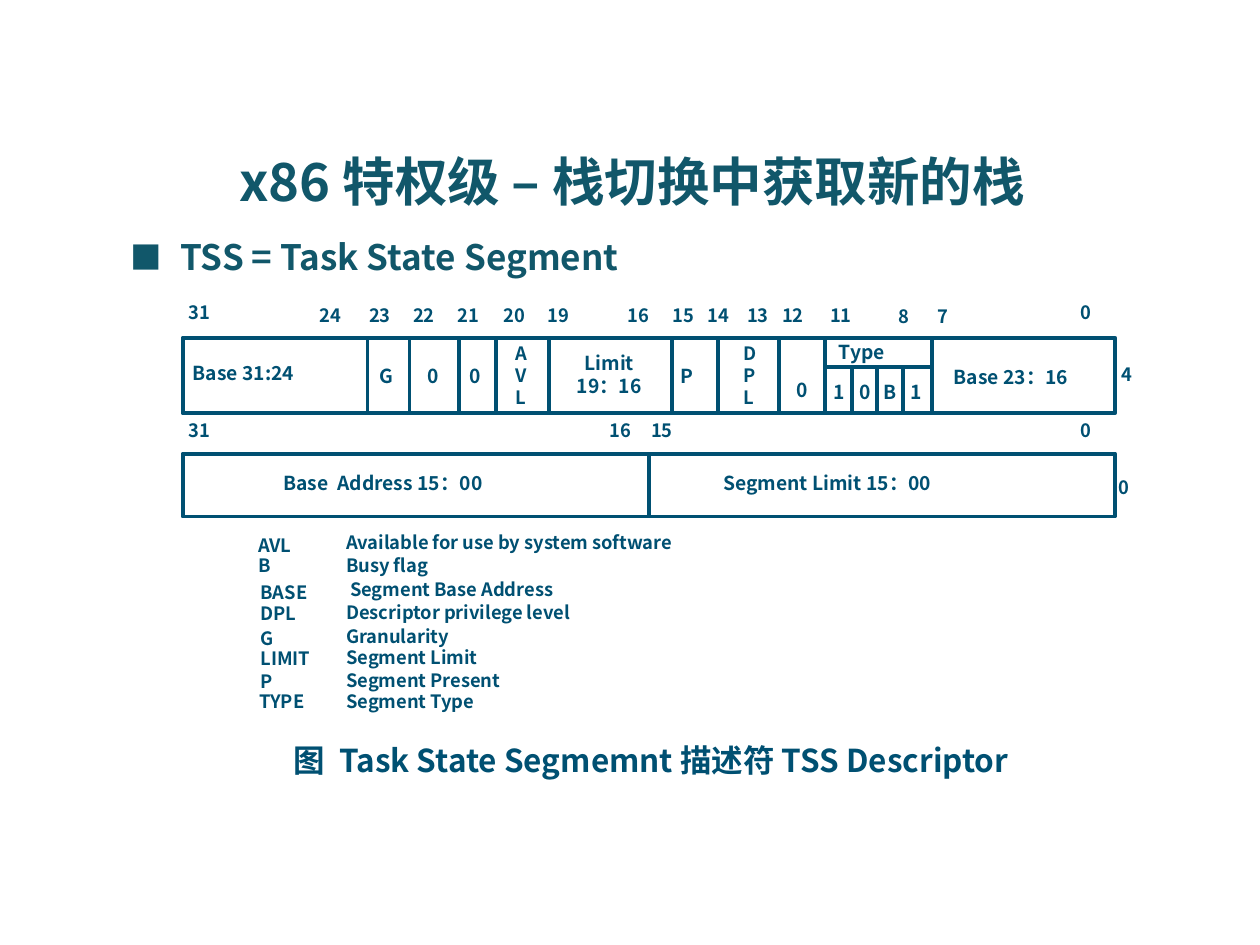
from lxml.etree import SubElement
from pptx import Presentation
from pptx.dml.color import RGBColor
from pptx.enum.shapes import MSO_CONNECTOR as Connector, MSO_SHAPE as Preset
from pptx.enum.text import MSO_AUTO_SIZE as AutoSize, PP_ALIGN as Align
from pptx.oxml.ns import qn
from pptx.util import Pt

TEAL = "11576A"
BLUE = "005072"
FONT = "Noto Sans CJK SC"
SYMBOL_FONT = "Noto Sans CJK JP"
LINE_WIDTH = 2.25

TOP_SCALE = [
    ("31", 100.8, 168.5), ("24", 175.7, 170), ("23", 203.8, 170),
    ("22", 229, 170), ("21", 254.2, 170), ("20", 280.8, 170),
    ("19", 306, 170), ("16", 351.4, 170), ("15", 377.3, 170),
    ("14", 397.4, 170), ("13", 419.8, 170), ("12", 439.9, 170),
    ("11", 467.3, 170), ("8", 506.2, 170.6), ("7", 528.5, 170.6),
    ("0", 610.6, 168.5),
]
LOWER_SCALE = [("31", 100.8), ("16", 341.3), ("15", 365), ("0", 610.6)]
BYTE_OFFSETS = [("4", 633.6, 203.8), ("0", 632.2, 268.6)]

FIELDS = [
    ("Base 31:24", 103, 203, 115.2),
    ("G", 209.5, 204.5, 35.3),
    ("0", 237, 204.5, 30),
    ("0", 261.4, 204.5, 31),
    ("P", 381.6, 204.5, 25.9),
    ("Type", 472.3, 190.8, 122.4),
    ("0", 447.8, 212.4, 35.3),
    ("Base 23：16", 537.8, 205.2, 131),
    ("Base  Address 15：00", 154.8, 265.7, 323.3),
    ("Segment Limit 15：00", 406.1, 265.7, 340.6),
]
TYPE_BITS = [("1", 469.4), ("0", 483.8), ("B", 497.5), ("1", 513.4)]

DIVIDERS = [
    (210, 193, 236.2), (234, 193, 236.2), (262.1, 193, 236.2),
    (283.7, 193, 236.2), (313.9, 194.4, 236.9), (383.8, 192.2, 235.4),
    (410.4, 192.2, 235.4), (445, 192.2, 235.4), (471.6, 192.2, 235.4),
    (486.7, 208.8, 235.4), (501.1, 211, 235.4), (516.2, 210.2, 235.4),
    (532.8, 194.4, 236.9), (370.8, 260, 295.2),
]

LEGEND = [
    ("AVL", 140.4, 301.7, 65.5, "Available for use by system software", 190.8, 300.2, 306.7),
    ("B", 140.4, 313.2, 29.5, "Busy flag", 190.8, 313.2, 306.7),
    ("BASE", 141.8, 328.3, 66.2, "Segment Base Address", 193, 326.9, 490.3),
    ("DPL", 141.8, 340.6, 82, "Descriptor privilege level", 190.8, 339.8, 203),
    ("G", 141.8, 355, 82, "Granularity", 190.8, 353.5, 193.7),
    ("LIMIT", 141.8, 366.5, 82, "Segment Limit", 190.8, 365.8, 164.9),
    ("P", 141.8, 379.4, 41, "Segment Present", 190.8, 378.7, 184.3),
    ("TYPE", 141.1, 391, 65.5, "Segment Type", 190.8, 391, 184.3),
]


def color(value):
    return RGBColor.from_string(value)


def apply(target, values):
    for name, value in values.items():
        setattr(target, name, value)


def add_text(slide, text, left, top, width, height=20.2, size=10.5,
             fill=BLUE, font=FONT, wrap=True, **paragraph_format):
    shape = slide.shapes.add_textbox(Pt(left), Pt(top), Pt(width), Pt(height))
    frame = shape.text_frame
    frame.text = text
    apply(frame, {"word_wrap": wrap, "auto_size": AutoSize.SHAPE_TO_FIT_TEXT})
    for paragraph in frame.paragraphs:
        apply(paragraph, paragraph_format)
        for run in paragraph.runs:
            apply(run.font, {"size": Pt(size), "bold": True, "name": font})
            run.font.color.rgb = color(fill)
            SubElement(run.font._element, qn("a:ea")).set("typeface", font)


def style_line(line):
    line.color.rgb = color(BLUE)
    line.width = Pt(LINE_WIDTH)


def add_frame(slide, top, height):
    shape = slide.shapes.add_shape(
        Preset.RECTANGLE, Pt(104.4), Pt(top), Pt(532.8), Pt(height))
    shape.shadow.inherit = False
    shape.fill.background()
    style_line(shape.line)


def add_line(slide, *ends):
    connector = slide.shapes.add_connector(Connector.STRAIGHT, *map(Pt, ends))
    style_line(connector.line)
    SubElement(connector._element.spPr, qn("a:effectLst"))


def add_headings(slide):
    add_text(slide, "x86 特权级 – 栈切换中获取新的栈", 129.6, 84.2, 550, 41.8,
             size=30, fill=TEAL, line_spacing=0.95)
    add_text(slide, "TSS = Task State Segment", 95.8, 132.5, 303.8, 30.2,
             size=20, fill=TEAL, line_spacing=0.95)
    add_text(slide, "■", 67.7, 132.5, 32.4, 28.8, size=18, fill=TEAL,
             font=SYMBOL_FONT, wrap=False)
    add_text(slide, "图  Task State Segmemnt 描述符 TSS Descriptor",
             160.6, 419.8, 468.7, 28.8, size=18)


def add_descriptor(slide):
    add_frame(slide, 193, 43.2)
    add_frame(slide, 259.2, 36)
    for x, top, bottom in DIVIDERS:
        add_line(slide, x, top, x, bottom)
    add_line(slide, 472.3, 209.5, 531.4, 209.5)
    for text, left, top in TOP_SCALE + BYTE_OFFSETS:
        add_text(slide, text, left, top, 41.8)
    for text, left in LOWER_SCALE:
        add_text(slide, text, left, 236.2, 41.8)
    for text, left, top, width in FIELDS:
        add_text(slide, text, left, top, width, 20.9, size=11)
    for text, left in TYPE_BITS:
        add_text(slide, text, left, 213.8, 35.3, 20.9, size=11)
    for letters, left in (("AVL", 287.3), ("DPL", 417.6)):
        add_text(slide, "\n".join(letters), left, 192.2, 33, 45.4)
    add_text(slide, "Limit\n19：16", 304.6, 197.3, 87.1, 33.8, size=11,
             alignment=Align.CENTER)


def add_legend(slide):
    for name, x, y, width, meaning, meaning_x, meaning_y, meaning_width in LEGEND:
        add_text(slide, name, x, y, width)
        add_text(slide, meaning, meaning_x, meaning_y, meaning_width)


def main():
    presentation = Presentation()
    apply(presentation, {"slide_width": Pt(720), "slide_height": Pt(540)})
    slide = presentation.slides.add_slide(presentation.slide_layouts[6])
    add_headings(slide)
    add_descriptor(slide)
    add_legend(slide)
    presentation.save("out.pptx")


if __name__ == "__main__":
    main()
